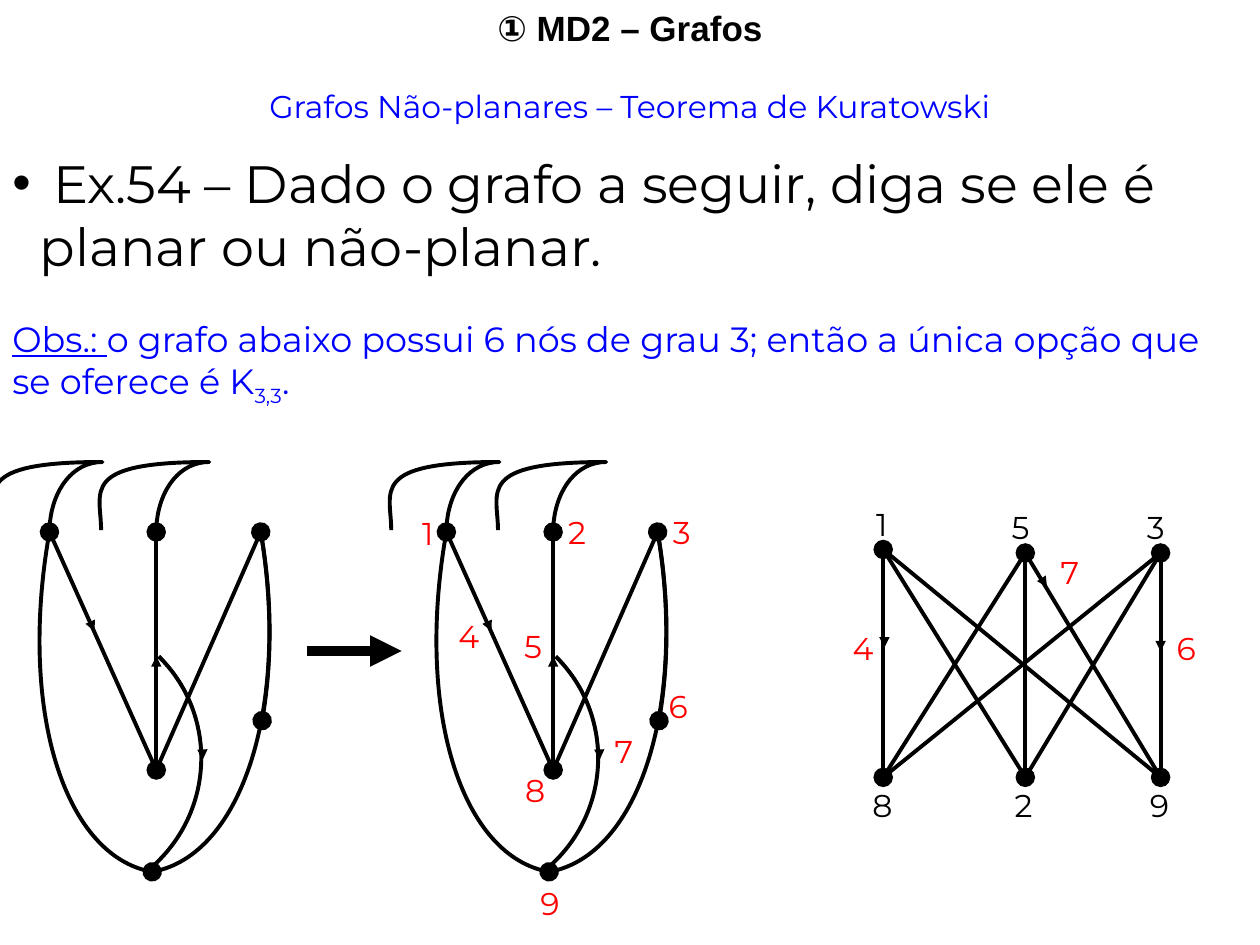
from itertools import product

from lxml import etree
from pptx import Presentation
from pptx.dml.color import RGBColor
from pptx.enum.shapes import MSO_CONNECTOR
from pptx.enum.text import MSO_ANCHOR, PP_ALIGN
from pptx.oxml.ns import qn
from pptx.util import Pt

BLACK = RGBColor(0, 0, 0)
BLUE = RGBColor(0, 0, 255)
RED = RGBColor(255, 0, 0)
FONT = "Montserrat"
STRAIGHT = MSO_CONNECTOR.STRAIGHT
TOP = MSO_ANCHOR.TOP
CENTER, RIGHT = PP_ALIGN.CENTER, PP_ALIGN.RIGHT

SLIDE_W, SLIDE_H = 720, 540
EDGE, THIN, HAIR = 2.25, 0.75, 0.25
LABEL_W, LABEL_H = 24.5, 28.8
GRAPH_TOP = 264

NODES = {1: (28.3, 40), 2: (89.3, 40), 3: (149, 40),
         6: (149.8, 147.8), 8: (89.3, 176), 9: (87, 234.2)}
GRAPH_LABELS = {1: (3.6, 26.2), 2: (90.7, 25.4), 3: (150.5, 25.4),
                4: (28.1, 85.2), 5: (65.5, 91), 6: (148.3, 124.8),
                7: (117.4, 150.7), 8: (66.2, 173), 9: (74.9, 237.8)}


def style_line(sp, width, head=None, tail=None):
    sp.line.color.rgb = BLACK
    sp.line.width = Pt(width)
    ln = sp.line._ln
    for tag, kind in (("a:headEnd", head), ("a:tailEnd", tail)):
        if kind:
            size = "lg" if kind == "oval" else "med"
            etree.SubElement(ln, qn(tag), type=kind, w=size, len=size)


def add_line(shapes, box, start, end, width=EDGE, head=None, tail=None):
    x, y = box
    sp = shapes.add_connector(STRAIGHT, Pt(x + start[0]), Pt(y + start[1]),
                              Pt(x + end[0]), Pt(y + end[1]))
    style_line(sp, width, head, tail)
    etree.SubElement(sp._element.spPr, qn("a:effectLst"))


def add_curve(shapes, box, points, width=EDGE, head=None, tail=None):
    """Draw cubic curves: a start, then two control points and an end each."""
    start, *rest = [(Pt(box[0] + x), Pt(box[1] + y)) for x, y in points]
    builder = shapes.build_freeform(*start)
    builder.add_line_segments(rest, close=False)
    sp = builder.convert_to_shape()
    path = sp._element.find(".//" + qn("a:path"))
    segments = path.findall(qn("a:lnTo"))
    for i in range(0, len(segments), 3):
        bezier = etree.SubElement(path, qn("a:cubicBezTo"))
        for segment in segments[i:i + 3]:
            bezier.append(segment[0])
            path.remove(segment)
    sp.fill.background()
    sp.shadow.inherit = False
    style_line(sp, width, head, tail)


def format_font(font, size, color, name=FONT):
    font.size, font.name = Pt(size), name
    font.color.rgb = color


def add_label(shapes, box, at, text, color):
    sp = shapes.add_textbox(Pt(box[0] + at[0]), Pt(box[1] + at[1]),
                            Pt(LABEL_W), Pt(LABEL_H))
    tf = sp.text_frame
    tf.word_wrap = False
    p = tf.paragraphs[0]
    p.text = str(text)
    p.alignment = RIGHT
    format_font(p.runs[0].font, 18, color)


def add_title(slide, left, top, width, height):
    sp = slide.shapes.title
    sp.left, sp.top, sp.width, sp.height = map(Pt, (left, top, width, height))
    tf = sp.text_frame
    tf.text = "① MD2 – Grafos"
    tf.vertical_anchor = TOP
    p = tf.paragraphs[0]
    p.alignment = CENTER
    p.space_before = Pt(0)
    p.line_spacing = 1.0
    format_font(p.runs[0].font, 20, BLACK, "Arial")
    p.runs[0].font.bold = True


def add_exercise(slide, left, top, width, height):
    sp = slide.shapes.add_textbox(*map(Pt, (left, top, width, height)))
    tf = sp.text_frame
    tf.word_wrap = True
    p = tf.paragraphs[0]
    p.text = "Grafos Não-planares – Teorema de Kuratowski"
    p.alignment = CENTER
    format_font(p.runs[0].font, 18, BLUE)

    p = tf.add_paragraph()
    p.text = " Ex.54 – Dado o grafo a seguir, diga se ele é planar ou não-planar."
    p.space_before = Pt(15)
    pPr = p._p.get_or_add_pPr()
    pPr.set("marL", str(Pt(15.5)))
    pPr.set("indent", str(-Pt(15.5)))
    etree.SubElement(pPr, qn("a:buFont"), typeface="Arial")
    etree.SubElement(pPr, qn("a:buChar"), char="•")
    format_font(p.runs[0].font, 30, BLACK)


def add_remark(slide, left, top, width, height):
    sp = slide.shapes.add_textbox(*map(Pt, (left, top, width, height)))
    tf = sp.text_frame
    tf.word_wrap = True
    p = tf.paragraphs[0]
    texts = ("Obs.: ", "o grafo abaixo possui 6 nós de grau 3; então a única "
             "opção que se oferece é K", "3,3", ".")
    for text in texts:
        r = p.add_run()
        r.text = text
        format_font(r.font, 20, BLUE)
    p.runs[0].font.underline = True
    p.runs[2].font._element.set("baseline", "-25000")


def add_graph(slide, left, top, labels):
    shapes = slide.shapes.add_group_shape().shapes
    box = (left, top)
    for x, y in (NODES[1], NODES[2]):
        add_curve(shapes, box, [(x, y), (x, y - 22), (x + 13.5, y - 40),
                                (x + 30.3, y - 40), (x - 44.6, y - 40),
                                (x - 31.5, y - 23), (x - 31.5, y - 1)],
                  head="oval")
    add_line(shapes, box, NODES[2], NODES[8], tail="oval")
    add_line(shapes, box, NODES[1], NODES[8])
    add_line(shapes, box, NODES[3], NODES[8], head="oval")
    add_curve(shapes, box, [NODES[9], (36.7, 225.6), (10.8, 138.5), NODES[1]],
              head="oval")
    add_curve(shapes, box, [NODES[9], (139, 224.9), (165.6, 137.8), NODES[3]])
    add_curve(shapes, box, [NODES[6], (155.5, 115.4), (155.5, 77.3), NODES[3]],
              head="oval")
    add_curve(shapes, box, [(90.7, 111.1), (123.1, 142.8), (123.1, 195.4),
                            (90.7, 227.8), (89.3, 229.2), (87.8, 230.6),
                            (86.4, 232)])
    add_line(shapes, box, NODES[8], (89.3, 111), THIN, tail="triangle")
    add_line(shapes, box, NODES[1], (54, 96.7), THIN, tail="triangle")
    add_curve(shapes, box, [(91.4, 110.4), (106.9, 126.2), (115.9, 147.8),
                            (115.9, 170.2)], HAIR, tail="triangle")
    for text, at in labels.items():
        add_label(shapes, box, at, text, RED)


def add_k33(slide, left, top):
    shapes = slide.shapes.add_group_shape().shapes
    box = (left, top)
    columns = (0, 81.2, 158.5)
    uppers = list(zip(columns, (50, 52, 52)))
    lowers = [(x, 180.2) for x in columns]
    for upper, lower in product(uppers, lowers):
        end = "oval" if upper[0] == lower[0] else None
        add_line(shapes, box, upper, lower, head=end, tail=end)
    for (x, y), text in zip(uppers, "153"):
        add_label(shapes, box, (x - 15, y - 29), text, BLACK)
    for (x, y), text in zip(lowers, "829"):
        add_label(shapes, box, (x - 13.2, y + 1.5), text, BLACK)
    for start, end, width in (((0.7, 49), (0.7, 106), HAIR),
                              (uppers[1], (93.6, 71.5), THIN),
                              (uppers[2], (158.5, 108.2), THIN)):
        add_line(shapes, box, start, end, width, tail="triangle")
    for text, at in (("4", (-24.5, 91.7)), ("7", (94.3, 48.5)),
                     ("6", (160.6, 91.7))):
        add_label(shapes, box, at, text, RED)


def main():
    prs = Presentation()
    prs.slide_width, prs.slide_height = Pt(SLIDE_W), Pt(SLIDE_H)
    slide = prs.slides.add_slide(prs.slide_layouts[5])
    add_title(slide, 0, 0, SLIDE_W, 31.7)
    add_exercise(slide, 0, 46, SLIDE_W, 116)
    add_remark(slide, 0, 178, SLIDE_W, 59)
    add_graph(slide, 0, GRAPH_TOP, {})
    add_line(slide.shapes, (0, GRAPH_TOP), (175.7, 108), (229.5, 108), 6,
             tail="triangle")
    add_graph(slide, 226.8, GRAPH_TOP, GRAPH_LABELS)
    add_k33(slide, 504.7, GRAPH_TOP)
    prs.save("out.pptx")


if __name__ == "__main__":
    main()
